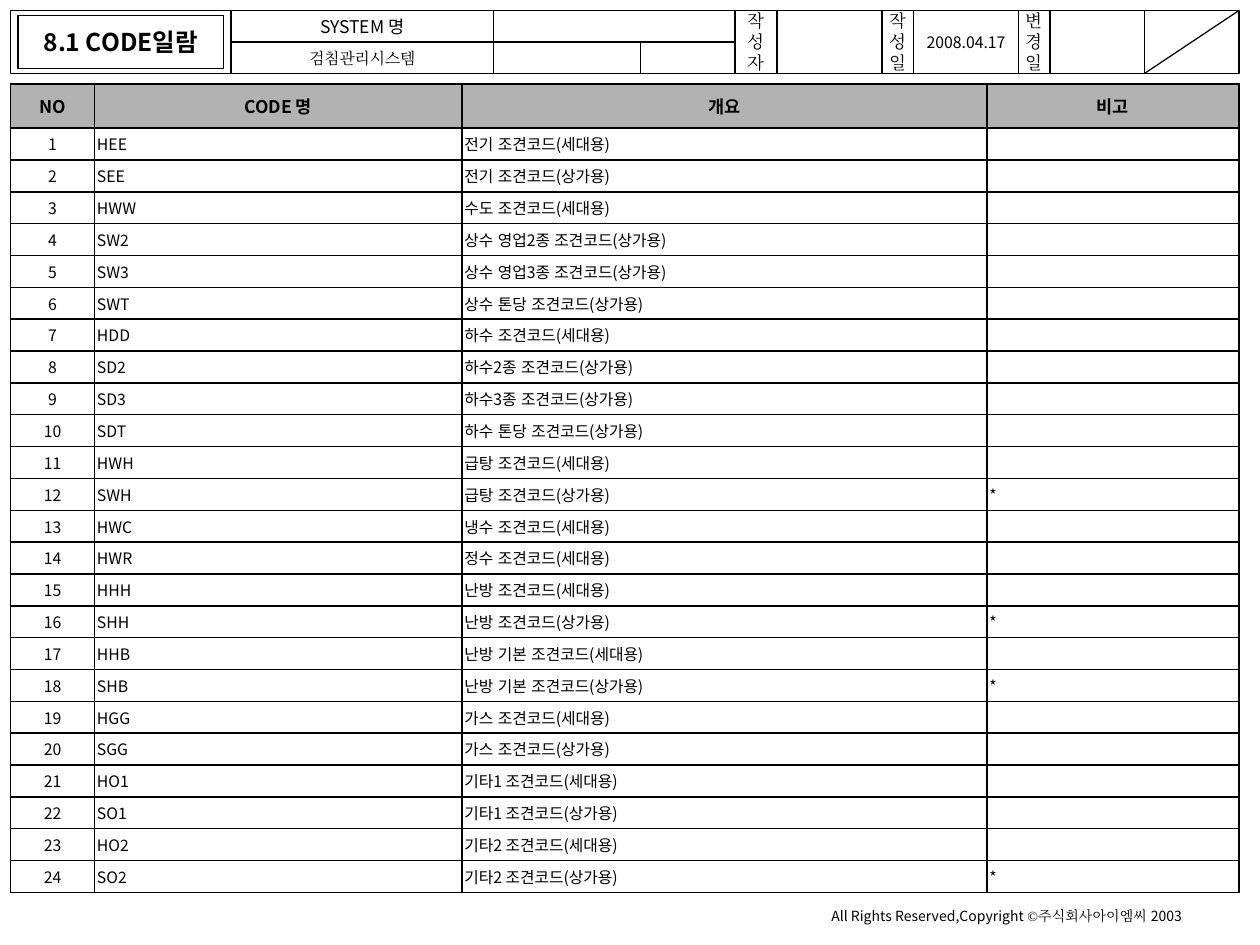
from dataclasses import dataclass

from lxml.etree import SubElement
from pptx import Presentation
from pptx.dml.color import RGBColor
from pptx.enum.lang import MSO_LANGUAGE_ID
from pptx.enum.shapes import MSO_CONNECTOR, MSO_SHAPE
from pptx.enum.text import MSO_ANCHOR, PP_ALIGN
from pptx.oxml.ns import qn
from pptx.util import Inches, Pt


@dataclass(frozen=True)
class Theme:
    ink: RGBColor = RGBColor(0, 0, 0)
    header_fill: RGBColor = RGBColor(0xB2, 0xB2, 0xB2)
    sans: str = "Noto Sans CJK KR"
    serif: str = "Times New Roman"
    title: int = 14
    label: int = 10
    body: int = 9
    footer: int = 8
    outline: float = 0.75
    border: int = 1


THEME = Theme()
COLUMNS, ROWS = 120, 90
HEADER_ROW_HEIGHT = 4.2
TABLE_COLUMNS = (8, 35, 50, 24)
HEADINGS = ("NO", "CODE 명", "개요", "비고")
HOME, SHOP = "세대용", "상가용"
CODES = (
    ("HEE", "전기", HOME), ("SEE", "전기", SHOP),
    ("HWW", "수도", HOME), ("SW2", "상수 영업2종", SHOP),
    ("SW3", "상수 영업3종", SHOP), ("SWT", "상수 톤당", SHOP),
    ("HDD", "하수", HOME), ("SD2", "하수2종", SHOP),
    ("SD3", "하수3종", SHOP), ("SDT", "하수 톤당", SHOP),
    ("HWH", "급탕", HOME), ("SWH", "급탕", SHOP),
    ("HWC", "냉수", HOME), ("HWR", "정수", HOME),
    ("HHH", "난방", HOME), ("SHH", "난방", SHOP),
    ("HHB", "난방 기본", HOME), ("SHB", "난방 기본", SHOP),
    ("HGG", "가스", HOME), ("SGG", "가스", SHOP),
    ("HO1", "기타1", HOME), ("SO1", "기타1", SHOP),
    ("HO2", "기타2", HOME), ("SO2", "기타2", SHOP),
)
MARKED = {"SWH", "SHH", "SHB", "SO2"}
HEADER_BOXES = (
    (1, 1, 21, 6, "", THEME.sans, THEME.label),
    (1.7, 1.5, 19.6, 5, "", THEME.sans, THEME.label),
    (22, 1, 25, 3, "SYSTEM 명", THEME.sans, THEME.label),
    (22, 4, 25, 3, "검침관리시스템", THEME.serif, THEME.body),
    (70, 1, 4, 6, "작\n성\n자", THEME.serif, THEME.label),
    (74, 1, 10, 6, "", THEME.sans, THEME.label),
    (84, 1, 3, 6, "작\n성\n일", THEME.serif, THEME.label),
    (87, 1, 10, 6, "2008.04.17", THEME.sans, THEME.body),
    (97, 1, 3, 6, "변\n경\n일", THEME.serif, THEME.label),
    (100, 1, 9, 6, "", THEME.sans, THEME.label),
    (109, 1, 9, 6, "", THEME.sans, THEME.label),
    (47, 1, 23, 3, "", THEME.sans, THEME.label),
    (61, 4, 9, 3, "", THEME.sans, THEME.label),
    (47, 4, 14, 3, "", THEME.sans, THEME.label),
)


def apply_format(target, values):
    for name, value in values.items():
        setattr(target, name, value)


class SlideBuilder:
    def __init__(self, presentation, theme):
        self.theme = theme
        self.slide = presentation.slides.add_slide(presentation.slide_layouts[6])
        self.column = presentation.slide_width / COLUMNS
        self.row = presentation.slide_height / ROWS

    def place(self, left, top, width, height):
        return (round(left * self.column), round(top * self.row),
                round(width * self.column), round(height * self.row))

    def run(self, paragraph, text, font_name, size, bold=False):
        run = paragraph.add_run()
        run.text = text
        apply_format(run.font, {"name": font_name, "size": Pt(size), "bold": bold,
                                "language_id": MSO_LANGUAGE_ID.KOREAN})
        run.font.color.rgb = self.theme.ink
        latin = run.font._element.find(qn("a:latin"))
        east_asian = SubElement(run.font._element, qn("a:ea"), typeface=font_name)
        latin.addnext(east_asian)

    def centred(self, frame, text, font_name, size, bold=False):
        apply_format(frame, {"word_wrap": False, "vertical_anchor": MSO_ANCHOR.MIDDLE})
        for index, line in enumerate(text.split("\n")):
            paragraph = frame.add_paragraph() if index else frame.paragraphs[0]
            paragraph.alignment = PP_ALIGN.CENTER
            self.run(paragraph, line, font_name, size, bold)

    def box(self, left, top, width, height, text, font_name, size):
        shape = self.slide.shapes.add_shape(
            MSO_SHAPE.RECTANGLE, *self.place(left, top, width, height))
        shape.shadow.inherit = False
        shape.fill.background()
        shape.line.color.rgb = self.theme.ink
        shape.line.width = Pt(self.theme.outline)
        if text:
            self.centred(shape.text_frame, text, font_name, size)

    def line(self, start, end):
        connector = self.slide.shapes.add_connector(
            MSO_CONNECTOR.STRAIGHT, *self.place(*start, *end))
        connector.line.color.rgb = self.theme.ink
        connector.line.width = Pt(self.theme.outline)
        SubElement(connector._element.spPr, qn("a:effectLst"))

    def title(self, left, top, width, height, text):
        shape = self.slide.shapes.add_textbox(*self.place(left, top, width, height))
        self.centred(shape.text_frame, text, self.theme.sans, self.theme.title, True)

    def footer(self, left, top, width, height, parts):
        shape = self.slide.shapes.add_textbox(*self.place(left, top, width, height))
        shape.text_frame.word_wrap = True
        for text, font_name in parts:
            self.run(shape.text_frame.paragraphs[0], text, font_name, self.theme.footer)

    def border(self, cell):
        properties = cell._tc.get_or_add_tcPr()
        for side in ("lnL", "lnR", "lnT", "lnB"):
            line = SubElement(properties, qn(f"a:{side}"), w=str(Pt(self.theme.border)))
            fill = SubElement(line, qn("a:solidFill"))
            SubElement(fill, qn("a:srgbClr"), val=str(self.theme.ink))

    def cell(self, cell, text, is_heading, is_centred):
        self.border(cell)
        cell.vertical_anchor = MSO_ANCHOR.MIDDLE
        size = self.theme.label if is_heading else self.theme.body
        if is_heading:
            cell.fill.solid()
            cell.fill.fore_color.rgb = self.theme.header_fill
        else:
            cell.fill.background()
            sides = ("left", "right", "top", "bottom")
            apply_format(cell, {f"margin_{side}": Inches(0.02) for side in sides})
        paragraph = cell.text_frame.paragraphs[0]
        paragraph.alignment = PP_ALIGN.CENTER if is_centred else PP_ALIGN.LEFT
        if text:
            self.run(paragraph, text, self.theme.sans, size, is_heading)
        else:
            SubElement(paragraph._p, qn("a:endParaRPr"), sz=str(size * 100))

    def table(self, left, top, height, widths, records):
        frame = self.slide.shapes.add_table(
            len(records), len(widths), *self.place(left, top, sum(widths), height))
        table = frame.table
        apply_format(table, {"first_row": False, "horz_banding": False})
        for column, width in zip(table.columns, widths):
            column.width = round(width * self.column)
        body_height = (height - HEADER_ROW_HEIGHT) / (len(records) - 1)
        for row_index, record in enumerate(records):
            row_height = body_height if row_index else HEADER_ROW_HEIGHT
            table.rows[row_index].height = round(row_height * self.row)
            for column_index, text in enumerate(record):
                self.cell(table.cell(row_index, column_index), text,
                          row_index == 0, row_index == 0 or column_index == 0)


def main():
    presentation = Presentation()
    apply_format(presentation, {"slide_width": Inches(10), "slide_height": Inches(7.5)})
    builder = SlideBuilder(presentation, THEME)
    for header_box in HEADER_BOXES:
        builder.box(*header_box)
    builder.line((118, 1), (109, 7))
    builder.footer(78, 85.8, 42, 2.8, (
        ("All Rights Reserved,Copyright ", THEME.sans),
        ("©주식회사아이엠씨 ", THEME.serif),
        ("2003", THEME.sans),
    ))
    builder.title(1, 1, 21, 6, "8.1 CODE일람")
    records = [HEADINGS] + [
        (str(number), code, f"{subject} 조견코드({usage})", "*" if code in MARKED else "")
        for number, (code, subject, usage) in enumerate(CODES, 1)
    ]
    builder.table(1, 8, 77, TABLE_COLUMNS, records)
    presentation.save("out.pptx")


if __name__ == "__main__":
    main()
